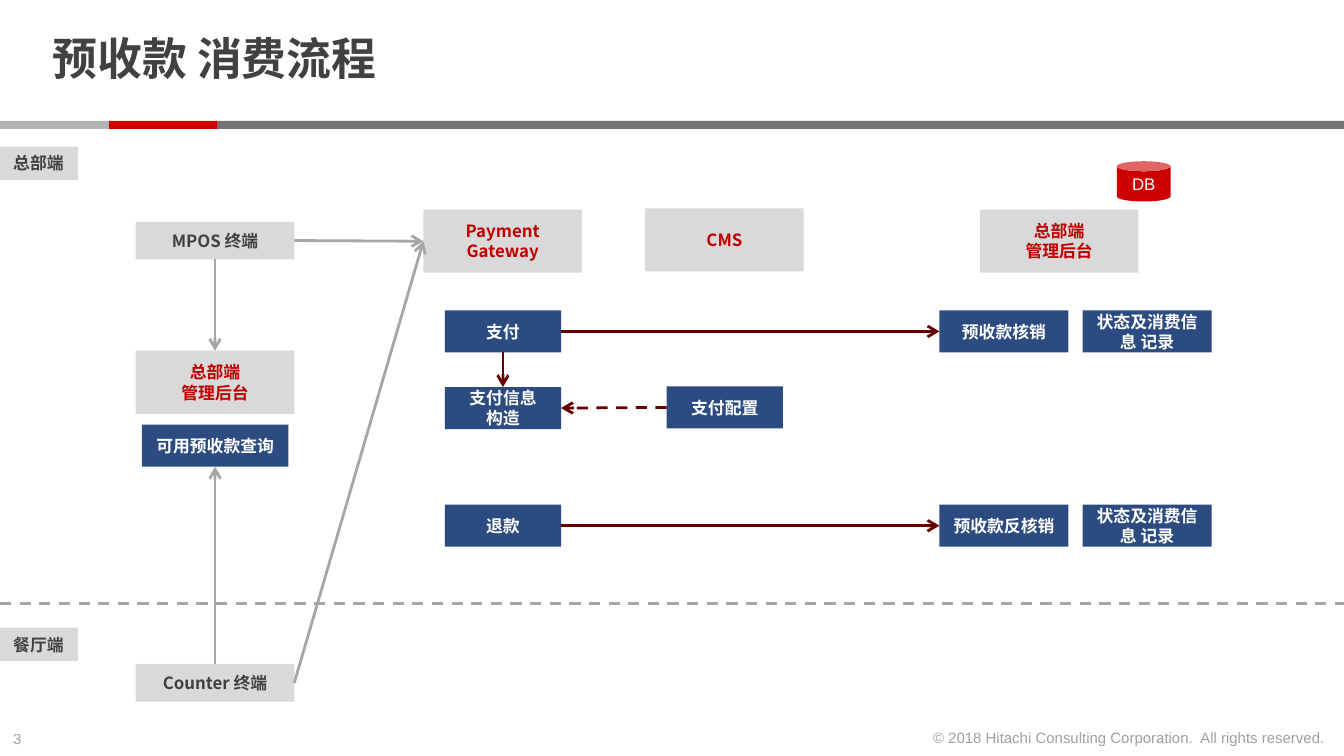
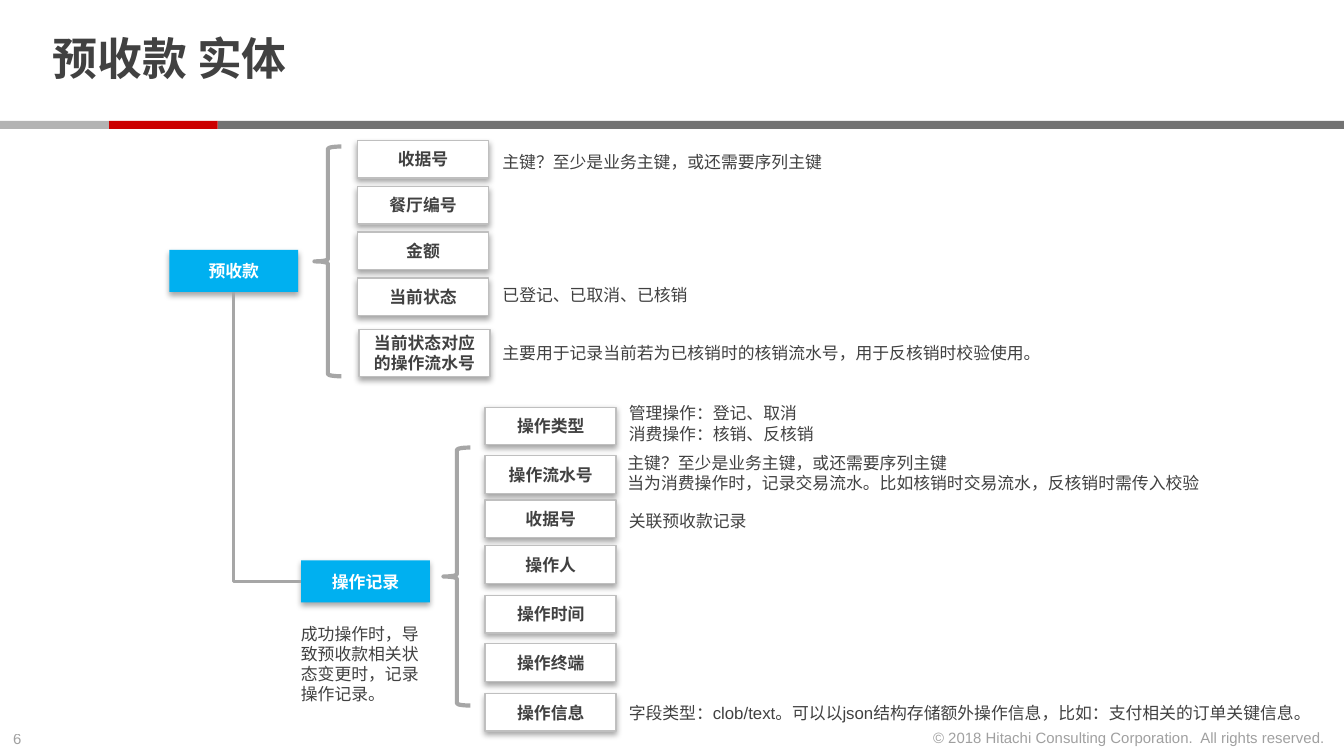
from lxml import etree
from pptx import Presentation
from pptx import util as u
from pptx.dml.color import RGBColor
from pptx.enum import dml, shapes, text
from pptx.oxml import ns, parse_xml

# Slide size; every length below is in cells, 100 columns to the width
WIDE = u.Inches(10)
HIGH = WIDE * 9 // 16
CELL = WIDE // 100
COLS, ROWS = 100, 56.25

# Colours
INK = RGBColor(0x41, 0x41, 0x41)
WHITE = RGBColor(0xFF, 0xFF, 0xFF)
RED = RGBColor(0xCC, 0x00, 0x00)
CRIM = RGBColor(0xC0, 0x00, 0x00)
WINE = RGBColor(0x66, 0x00, 0x00)
NAVY = RGBColor(0x2C, 0x4B, 0x80)
SKY = RGBColor(0x00, 0xB0, 0xF0)
SLATE = RGBColor(0x73, 0x73, 0x73)
STONE = RGBColor(0xB3, 0xB3, 0xB3)
GREY = RGBColor(0xA6, 0xA6, 0xA6)
EDGE = RGBColor(0xBF, 0xBF, 0xBF)
PALE = RGBColor(0xD9, 0xD9, 0xD9)

# Fonts and text formats
HAN, LATIN = "Noto Sans CJK SC", "Arial"
HEAD = {"size": u.Pt(24), "name": LATIN, "bold": True}
LABEL = {"size": u.Pt(9), "name": HAN, "bold": True}
NOTE = {"size": u.Pt(9), "name": LATIN, "bold": False}
SMALL = {"size": u.Pt(8), "name": LATIN, "bold": False}

LEFT, MID, RIGHT = text.PP_ALIGN.LEFT, text.PP_ALIGN.CENTER, text.PP_ALIGN.RIGHT
RECT = shapes.MSO_SHAPE.RECTANGLE
TOP, WEST, BASE, EAST = range(4)  # connection sites of a rectangle

SHADE = (
    f'<a:effectLst {ns.nsdecls("a")}>'
    '<a:outerShdw blurRad="40000" dist="23000" dir="5400000" rotWithShape="0">'
    '<a:srgbClr val="000000"><a:alpha val="35000"/></a:srgbClr>'
    "</a:outerShdw></a:effectLst>"
)


def cells(*nums):
    return [round(n * CELL) for n in nums]


# Text
def write(frame, words, form, tint=INK, align=LEFT, alpha=None):
    """Put each line of words in a paragraph of its own."""
    for i, line in enumerate(words.split("\n")):
        para = frame.paragraphs[0] if i == 0 else frame.add_paragraph()
        para.alignment = align
        run = para.add_run()
        run.text = line
        for key, val in form.items():
            setattr(run.font, key, val)
        run.font.color.rgb = tint
        props = run.font._element
        if alpha:
            clr = props.find(".//" + ns.qn("a:srgbClr"))
            etree.SubElement(clr, ns.qn("a:alpha")).set("val", str(alpha * 1000))
        east = etree.Element(ns.qn("a:ea"), typeface=HAN)
        props.find(ns.qn("a:latin")).addnext(east)


def fit(frame, wrap=False):
    frame.word_wrap = wrap
    frame.auto_size = text.MSO_AUTO_SIZE.SHAPE_TO_FIT_TEXT


def note(slide, box, words, form=NOTE, wrap=False, **look):
    frame = slide.shapes.add_textbox(*cells(*box)).text_frame
    fit(frame, wrap)
    write(frame, words, form, **look)


# Shapes
def block(slide, box, fill, words="", tint=WHITE, kind=RECT, form=LABEL,
          edge=None, shade=False):
    shape = slide.shapes.add_shape(kind, *cells(*box))
    shape.shadow.inherit = False
    shape.fill.solid()
    shape.fill.fore_color.rgb = fill
    if edge:
        shape.line.color.rgb = edge
        shape.line.width = u.Pt(0.75)
    else:
        shape.line.fill.background()
    if shade:
        props = shape._element.spPr
        props.replace(props.find(ns.qn("a:effectLst")), parse_xml(SHADE))
    if words:
        shape.text_frame.vertical_anchor = text.MSO_ANCHOR.MIDDLE
        write(shape.text_frame, words, form, tint, MID)
    return shape


def tag(slide, y, words):
    shape = block(slide, (0, y, 5.8, 2.5), PALE)
    shape.text_frame.vertical_anchor = text.MSO_ANCHOR.TOP
    fit(shape.text_frame)
    write(shape.text_frame, words, LABEL)


def host(slide, x, y, words):
    return block(slide, (x, y, 11.8, 4.7), PALE, words, CRIM)


def device(slide, y, words):
    return block(slide, (10.1, y, 11.8, 2.8), PALE, words, INK)


def step(slide, x, y, wide, words):
    return block(slide, (x, y, wide, 3.13), NAVY, words)


def entity(slide, x, y, words):
    return block(slide, (x, y, 9.6, 3.13), SKY, words, shade=True)


def field(slide, x, y, words, high=2.8):
    block(slide, (x, y, 9.75, high), WHITE, words, INK, edge=EDGE, shade=True)


def brace(slide, *box):
    shape = slide.shapes.add_shape(shapes.MSO_SHAPE.LEFT_BRACE, *cells(*box))
    shape.shadow.inherit = False
    shape.fill.background()
    shape.line.color.rgb = GREY
    shape.line.width = u.Pt(2.25)


# Lines
def stroke(slide, ends=(0, 0, 0, 0), tint=GREY, dash=False,
           kind=shapes.MSO_CONNECTOR.STRAIGHT):
    line = slide.shapes.add_connector(kind, *cells(*ends))
    line.line.color.rgb = tint
    line.line.width = u.Pt(1.5)
    if dash:
        line.line.dash_style = dml.MSO_LINE.DASH
    etree.SubElement(line._element.spPr, ns.qn("a:effectLst"))
    return line


def arrow(slide, src, out, dest, into, tint=GREY, dash=False):
    line = stroke(slide, tint=tint, dash=dash)
    line.begin_connect(src, out)
    line.end_connect(dest, into)
    etree.SubElement(line.line._get_or_add_ln(), ns.qn("a:tailEnd"), type="arrow")


def elbow(slide, src, out, dest, into):
    line = stroke(slide, kind=shapes.MSO_CONNECTOR.ELBOW)
    line.begin_connect(src, out)
    line.end_connect(dest, into)
    line._element.spPr.find(ns.qn("a:prstGeom")).set("prst", "bentConnector2")


# Shared frame: band, footer and title
def start(deck, title, page):
    slide = deck.slides.add_slide(deck.slide_layouts[5])
    part = 8.1
    for x, wide, fill in ((2 * part, COLS - 2 * part, SLATE),
                          (part, part, RED), (0, part, STONE)):
        block(slide, (x, 9, wide, 0.6), fill)
    note(slide, (0, 53.8, 3.4, 2.4), page, SMALL, alpha=50)
    note(slide, (68, 53.7, 31.6, 2.4),
         "© 2018 Hitachi Consulting Corporation.\u00a0 All rights reserved.".replace("\u00a0", " "),
         SMALL, align=RIGHT, alpha=50)
    head = slide.shapes.title
    head.left, head.top, head.width, head.height = cells(2.9, 0.6, 77.1, 8)
    frame = head.text_frame
    form = {"margin_left": CELL, "margin_right": CELL, "margin_top": 0,
            "margin_bottom": 0, "vertical_anchor": text.MSO_ANCHOR.MIDDLE,
            "auto_size": text.MSO_AUTO_SIZE.NONE}
    for key, val in form.items():
        setattr(frame, key, val)
    write(frame, title, HEAD)
    frame.paragraphs[0].line_spacing = 0.85
    return slide


def flow(deck):
    slide = start(deck, "预收款 消费流程", "3")

    # Zones
    stroke(slide, (0, 44.9, COLS, 44.9), dash=True)
    tag(slide, 10.9, "总部端")
    tag(slide, 46.7, "餐厅端")

    # Devices and systems
    till = device(slide, 49.4, "Counter 终端")
    mpos = device(slide, 16.5, "MPOS 终端")
    desk = host(slide, 10.1, 26.1, "总部端\n管理后台")
    gate = host(slide, 31.5, 15.6, "Payment\nGateway")
    host(slide, 48, 15.5, "CMS")
    host(slide, 72.9, 15.6, "总部端\n管理后台")
    block(slide, (83.1, 12, 4, 3), RED, "DB", kind=shapes.MSO_SHAPE.CAN, form=NOTE)

    # Steps
    query = step(slide, 10.55, 31.6, 10.9, "可用预收款查询")
    build = step(slide, 33.1, 28.8, 8.65, "支付信息\n构造")
    setup = step(slide, 49.6, 28.75, 8.65, "支付配置")
    acts = []
    for y, act, check in ((23.1, "支付", "预收款核销"), (37.55, "退款", "预收款反核销")):
        acts.append(step(slide, 33.1, y, 8.65, act))
        goal = step(slide, 69.9, y, 9.6, check)
        step(slide, 80.55, y, 9.6, "状态及消费信息 记录")
        arrow(slide, acts[-1], EAST, goal, WEST, WINE)

    # Links
    arrow(slide, acts[0], BASE, build, TOP, WINE)
    arrow(slide, setup, WEST, build, EAST, WINE, dash=True)
    arrow(slide, mpos, EAST, gate, WEST)
    arrow(slide, till, EAST, gate, WEST)
    arrow(slide, mpos, BASE, desk, TOP)
    arrow(slide, till, TOP, query, BASE)


def model(deck):
    slide = start(deck, "预收款 实体", "6")

    # Entities
    root = entity(slide, 12.6, 18.6, "预收款")
    log = entity(slide, 22.4, 41.7, "操作记录")
    elbow(slide, log, WEST, root, BASE)
    brace(slide, 23.4, 10.9, 2, 17.1)
    brace(slide, 33, 33.3, 2, 19.2)

    # Fields of the prepayment
    for i, name in enumerate(("收据号", "餐厅编号", "金额", "当前状态")):
        field(slide, 26.6, 10.45 + 3.41 * i, name)
    field(slide, 26.7, 24.5, "当前状态对应的操作流水号", 3.5)

    # Fields of the operation record
    for y, name in ((30.3, "操作类型"), (33.9, "操作流水号"), (37.2, "收据号"),
                    (40.6, "操作人"), (44.3, "操作时间"), (47.9, "操作终端"),
                    (51.6, "操作信息")):
        field(slide, 36.1, y, name)

    # Notes
    key = "主键？至少是业务主键，或还需要序列主键"
    for x, y, wide, high, words in (
        (36.4, 10.8, 26, 2.5, key),
        (36.4, 20.7, 15.9, 2.5, "已登记、已取消、已核销"),
        (36.4, 25, 42.4, 2.5,
         "主要用于记录当前若为已核销时的核销流水号，用于反核销时校验使用。"),
        (45.8, 29.5, 15.9, 4, "管理操作：登记、取消\n消费操作：核销、反核销"),
        (45.7, 33.2, 44.9, 4, key + "\n当为消费操作时，记录交易流水。"
         "比如核销时交易流水，反核销时需传入校验"),
        (45.8, 37.5, 10.9, 2.5, "关联预收款记录"),
        (45.8, 51.8, 53.2, 2.5, "字段类型：clob/text。可以以json结构存储额外操作信息，"
         "比如：支付相关的订单关键信息。"),
    ):
        note(slide, (x, y, wide, high), words)
    note(slide, (21.4, 45.9, 11.5, 7.1),
         "成功操作时，导致预收款相关状态变更时，记录操作记录。", wrap=True)


def main():
    deck = Presentation()
    deck.slide_width, deck.slide_height = WIDE, HIGH
    flow(deck)
    model(deck)
    deck.save("out.pptx")


if __name__ == "__main__":
    main()
